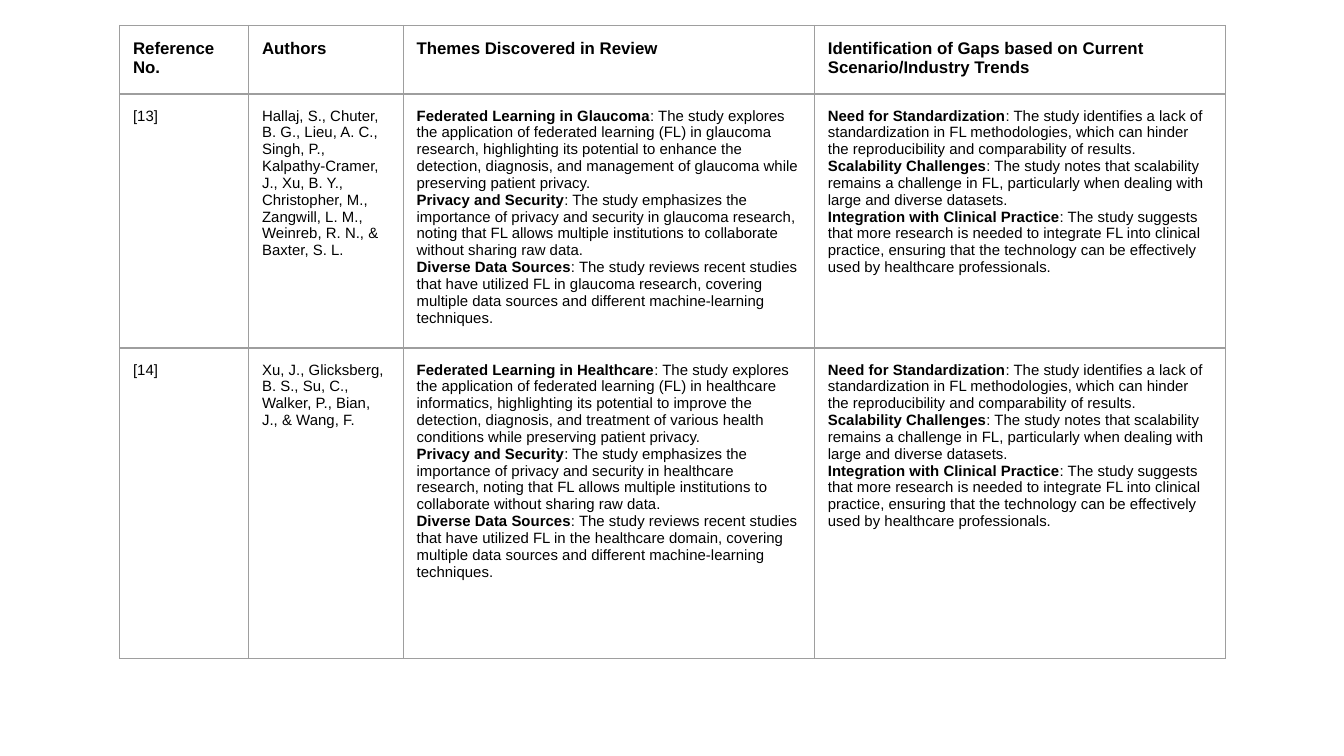
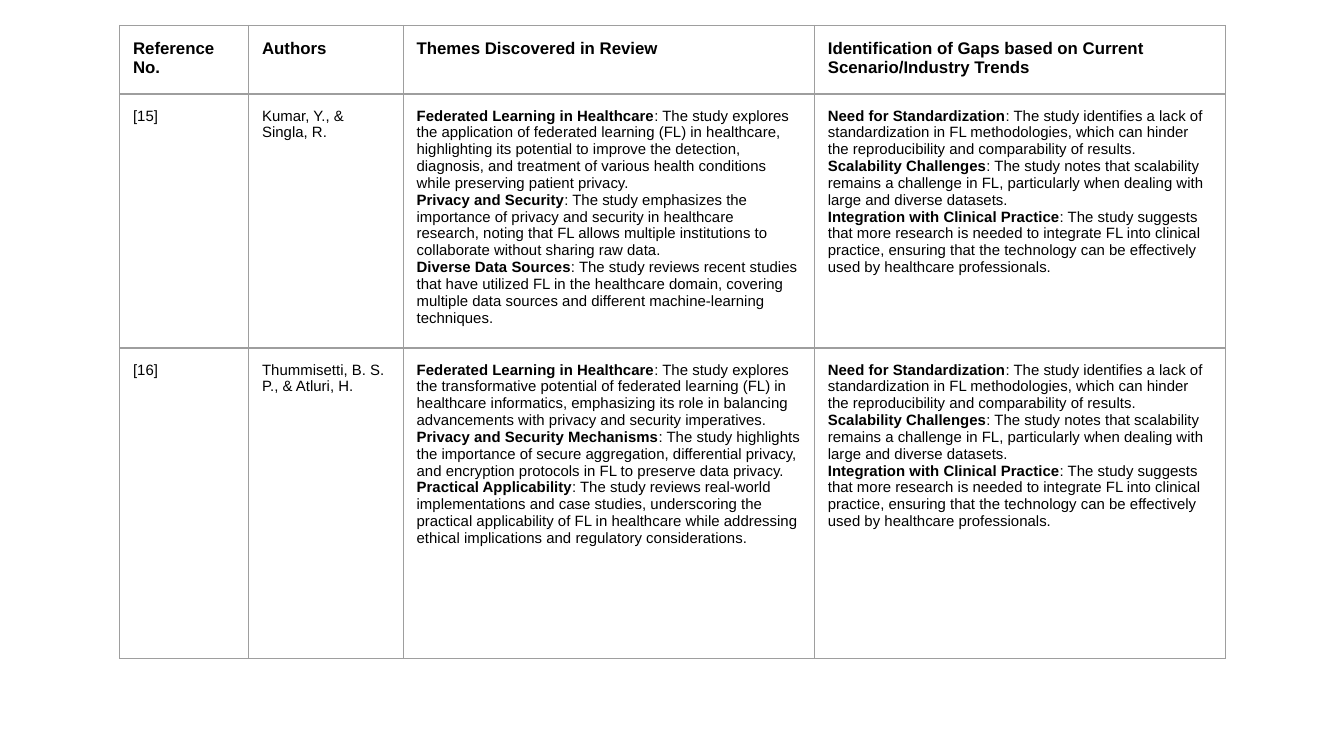
from lxml import etree
from pptx import Presentation
from pptx.dml.color import RGBColor
from pptx.enum.text import MSO_ANCHOR
from pptx.oxml.ns import qn
from pptx.util import Inches, Pt

TOP = MSO_ANCHOR.TOP

# Shared style and table grid (inches)
COLORS = {"text": "000000", "border": "9E9E9E"}
FONT = "Arial"
HEADER_SIZE, BODY_SIZE = 9, 8
BORDER_WIDTH = Pt(0.75)
CELL_MARGIN = Inches(0.1)
SLIDE_WIDTH = 10
SLIDE_HEIGHT = SLIDE_WIDTH * 9 / 16
TABLE_LEFT, TABLE_TOP = 0.89, 0.19
COLUMN_WIDTHS = [0.96, 1.15, 3.06, 3.06]
ROW_HEIGHTS = [0.51, 1.89, 2.31]

# Text: a cell is a list of (bold lead, plain rest) paragraphs
HEADERS = [
    "Reference No.",
    "Authors",
    "Themes Discovered in Review",
    "Identification of Gaps based on Current Scenario/Industry Trends",
]
GAPS = [
    ("Need for Standardization",
     ": The study identifies a lack of standardization in FL methodologies, "
     "which can hinder the reproducibility and comparability of results."),
    ("Scalability Challenges",
     ": The study notes that scalability remains a challenge in FL, "
     "particularly when dealing with large and diverse datasets."),
    ("Integration with Clinical Practice",
     ": The study suggests that more research is needed to integrate FL into "
     "clinical practice, ensuring that the technology can be effectively used "
     "by healthcare professionals."),
]


def common_themes(area, field, domain, purpose):
    """Themes shared by the reviews that apply federated learning to a field."""
    return [
        (f"Federated Learning in {area}",
         ": The study explores the application of federated learning (FL) in "
         f"{field}, highlighting its potential to {purpose} while preserving "
         "patient privacy."),
        ("Privacy and Security",
         ": The study emphasizes the importance of privacy and security in "
         f"{area.lower()} research, noting that FL allows multiple institutions "
         "to collaborate without sharing raw data."),
        ("Diverse Data Sources",
         f": The study reviews recent studies that have utilized FL in {domain}, "
         "covering multiple data sources and different machine-learning "
         "techniques."),
    ]


def healthcare_themes(field):
    return common_themes(
        "Healthcare", field, "the healthcare domain",
        "improve the detection, diagnosis, and treatment of various health "
        "conditions")


GLAUCOMA_THEMES = common_themes(
    "Glaucoma", "glaucoma research", "glaucoma research",
    "enhance the detection, diagnosis, and management of glaucoma")

PRACTICE_THEMES = [
    ("Federated Learning in Healthcare",
     ": The study explores the transformative potential of federated learning "
     "(FL) in healthcare informatics, emphasizing its role in balancing "
     "advancements with privacy and security imperatives."),
    ("Privacy and Security Mechanisms",
     ": The study highlights the importance of secure aggregation, differential "
     "privacy, and encryption protocols in FL to preserve data privacy."),
    ("Practical Applicability",
     ": The study reviews real-world implementations and case studies, "
     "underscoring the practical applicability of FL in healthcare while "
     "addressing ethical implications and regulatory considerations."),
]

# One list of (reference, authors, themes) per slide
REVIEWS = [
    [
        ("[13]",
         "Hallaj, S., Chuter, B. G., Lieu, A. C., Singh, P., Kalpathy-Cramer, "
         "J., Xu, B. Y., Christopher, M., Zangwill, L. M., Weinreb, R. N., & "
         "Baxter, S. L.",
         GLAUCOMA_THEMES),
        ("[14]",
         "Xu, J., Glicksberg, B. S., Su, C., Walker, P., Bian, J., & Wang, F.",
         healthcare_themes("healthcare informatics")),
    ],
    [
        ("[15]", "Kumar, Y., & Singla, R.", healthcare_themes("healthcare")),
        ("[16]", "Thummisetti, B. S. P., & Atluri, H.", PRACTICE_THEMES),
    ],
]


def add_text(paragraph, text, *, size=BODY_SIZE, bold=False):
    run = paragraph.add_run()
    run.text = text
    run.font.name = FONT
    run.font.size = Pt(size)
    run.font.bold = bold
    run.font.color.rgb = RGBColor.from_string(COLORS["text"])


def style_cell(cell):
    """Set margins, borders on all four sides and an empty fill."""
    cell.margin_left = cell.margin_right = CELL_MARGIN
    cell.margin_top = cell.margin_bottom = CELL_MARGIN
    cell.vertical_anchor = TOP
    properties = cell._tc.get_or_add_tcPr()
    for side in ("a:lnL", "a:lnR", "a:lnT", "a:lnB"):
        line = etree.SubElement(properties, qn(side), w=str(BORDER_WIDTH))
        fill = etree.SubElement(line, qn("a:solidFill"))
        etree.SubElement(fill, qn("a:srgbClr"), val=COLORS["border"])
    cell.fill.background()


def fill_cell(cell, content, **text_format):
    """Write plain text, or one paragraph for each (lead, rest) pair."""
    style_cell(cell)
    frame = cell.text_frame
    if isinstance(content, str):
        add_text(frame.paragraphs[0], content, **text_format)
        return
    for index, (lead, rest) in enumerate(content):
        paragraph = frame.add_paragraph() if index else frame.paragraphs[0]
        add_text(paragraph, lead, bold=True)
        add_text(paragraph, rest)


def add_review_table(slide, reviews):
    table = slide.shapes.add_table(
        len(ROW_HEIGHTS), len(COLUMN_WIDTHS),
        Inches(TABLE_LEFT), Inches(TABLE_TOP),
        Inches(sum(COLUMN_WIDTHS)), Inches(sum(ROW_HEIGHTS))).table
    table.first_row = table.horz_banding = False
    for column, width in zip(table.columns, COLUMN_WIDTHS):
        column.width = Inches(width)
    for row, height in zip(table.rows, ROW_HEIGHTS):
        row.height = Inches(height)

    # Header row, then one row per review
    for cell, header in zip(table.rows[0].cells, HEADERS):
        fill_cell(cell, header, size=HEADER_SIZE, bold=True)
    for row_index, review in enumerate(reviews, start=1):
        for cell, content in zip(table.rows[row_index].cells, (*review, GAPS)):
            fill_cell(cell, content)


def main():
    presentation = Presentation()
    presentation.slide_width = Inches(SLIDE_WIDTH)
    presentation.slide_height = Inches(SLIDE_HEIGHT)
    blank_layout = presentation.slide_layouts[6]
    for reviews in REVIEWS:
        add_review_table(presentation.slides.add_slide(blank_layout), reviews)
    presentation.save("out.pptx")


if __name__ == "__main__":
    main()
